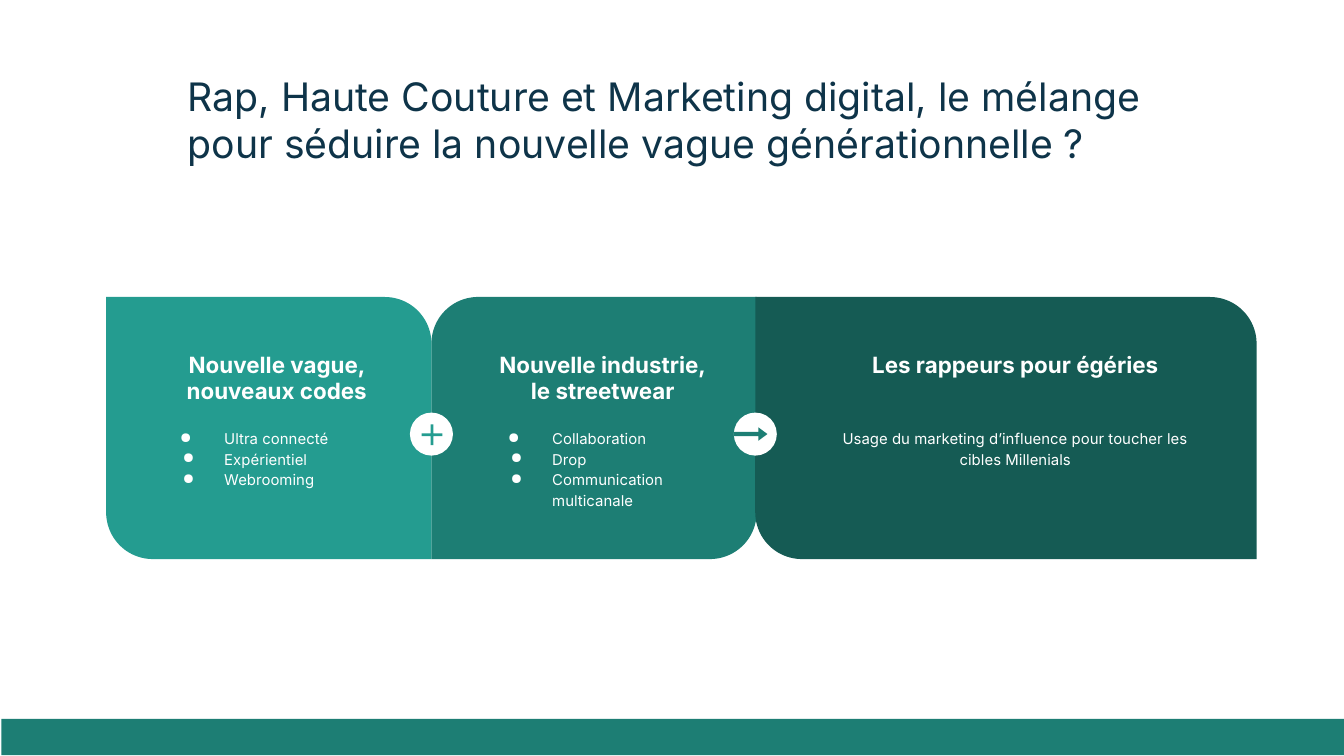
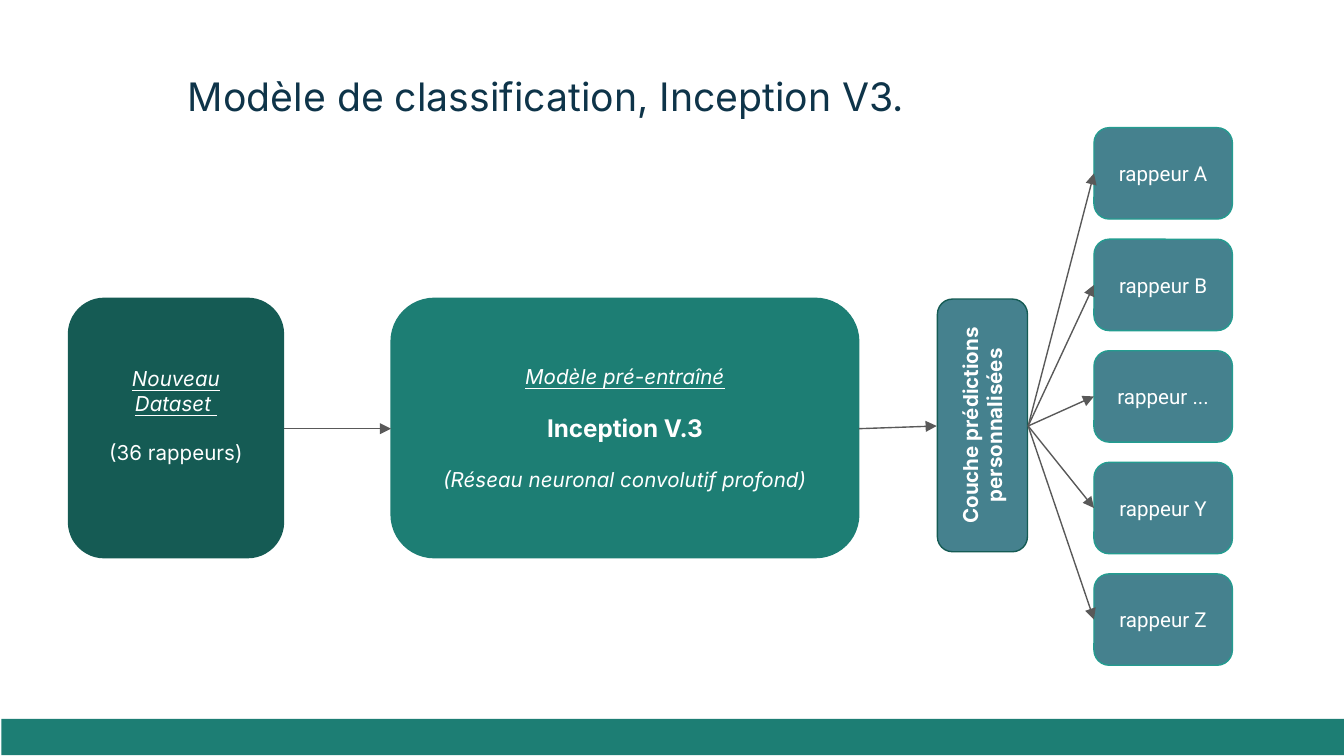
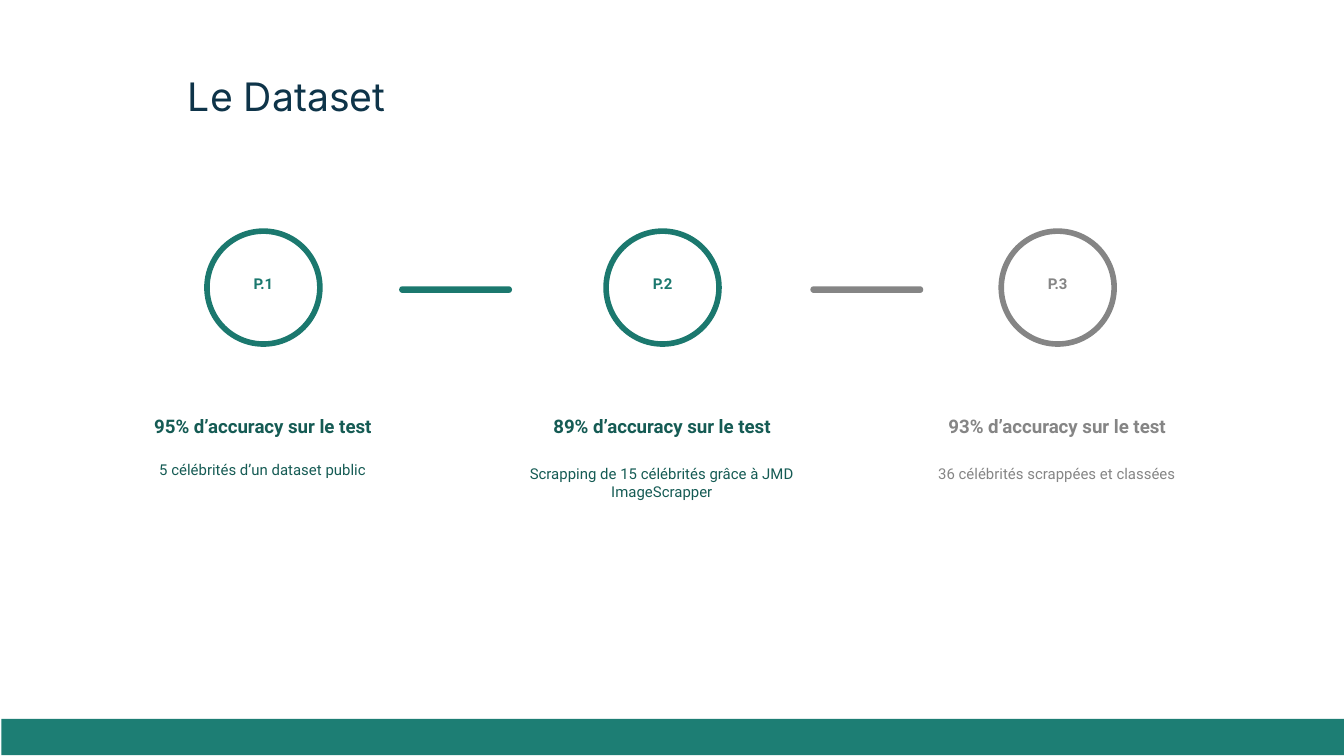
import pptx
import pptx.util
import pptx.dml.color
import pptx.enum.shapes
import pptx.enum.text
import pptx.oxml.ns
from lxml import etree

Inches = pptx.util.Inches
Pt = pptx.util.Pt
KIND = pptx.enum.shapes.MSO_SHAPE
ALIGN = pptx.enum.text.PP_ALIGN
ANCHOR = pptx.enum.text.MSO_ANCHOR
qn = pptx.oxml.ns.qn
RGB = pptx.dml.color.RGBColor.from_string

HUES = {
    "ink": "0E3449", "white": "FFFFFF", "light": "249C90", "teal": "1D7E74",
    "dark": "155B54", "ring": "1B786E", "blue": "45818E", "gray": "858585",
    "wire": "595959",
}


def put(slide, kind, box, fill=None, line=None, width=0.75, adj=()):
    """Add a preset shape, or a text box when kind is None."""
    spot = [Inches(n) for n in box]
    if kind is None:
        return slide.shapes.add_textbox(*spot)
    shape = slide.shapes.add_shape(kind, *spot)
    shape.shadow.inherit = False
    for i, part in enumerate(adj):
        shape.adjustments[i] = part
    if fill:
        shape.fill.solid()
        shape.fill.fore_color.rgb = RGB(HUES[fill])
    else:
        shape.fill.background()
    if line:
        shape.line.color.rgb = RGB(HUES[line])
        shape.line.width = Pt(width)
    else:
        shape.line.fill.background()
    return shape


def write(shape, text, size, hue="white", font="Inter", bold=False,
          align=ALIGN.CENTER, anchor=ANCHOR.TOP, gap=None):
    """Fill a shape with text in one style and return its paragraphs."""
    frame = shape.text_frame
    frame.text = text
    frame.word_wrap = True
    frame.vertical_anchor = anchor
    frame.margin_left = frame.margin_right = Inches(0.1)
    frame.margin_top = frame.margin_bottom = Inches(0.1)
    for para in frame.paragraphs:
        para.alignment = align
        if gap:
            para.line_spacing = gap
        for run in para.runs:
            run.font.size = Pt(size)
            run.font.name = font
            run.font.bold = bold
            run.font.color.rgb = RGB(HUES[hue])
    return frame.paragraphs


deck = pptx.Presentation()
deck.slide_width = Inches(10)
deck.slide_height = Inches(5.625)

# Title and bottom band on every slide
pages = []
for title, wide in [
    ("Rap, Haute Couture et Marketing digital, le mélange pour séduire "
     "la nouvelle vague générationnelle ?", 7.78),
    ("Modèle de classification, Inception V3.", 6.35),
    ("Le Dataset", 6.35),
]:
    page = deck.slides.add_slide(deck.slide_layouts[6])
    write(put(page, None, (1.3, 0.44, wide, 0.58)), title, 21, "ink",
          align=ALIGN.LEFT)
    put(page, KIND.RECTANGLE, (0.01, 5.35, 9.99, 0.27), "teal")
    pages.append(page)
trend, model, data = pages

# Slide 1: three cards, each with left, width, fill, corners, text places
cards = [
    (3.21, 2.42, "teal", (0.178, 0), (3.51, 1.95), (1.81, 0.64),
     "Nouvelle industrie,\vle streetwear",
     "Collaboration\nDrop\nCommunication multicanale"),
    (0.79, 2.42, "light", (0, 0.178), (1.07, 1.98), (1.81, 1.45),
     "Nouvelle vague, nouveaux codes",
     "Ultra connecté\nExpérientiel\nWebrooming"),
    (5.62, 3.73, "dark", (0, 0.178), (6.05, 3.01), (3.01, 0.64),
     "Les rappeurs pour égéries",
     "Usage du marketing d’influence pour toucher les cibles Millenials"),
]
for left, wide, fill, adj, (x, head), (body, tall), name, text in cards:
    put(trend, KIND.ROUND_2_DIAG_RECTANGLE, (left, 2.21, wide, 1.95), fill,
        adj=adj)
    write(put(trend, None, (x, 2.51, head, 0.57)), name, 12, bold=True)
    list_like = "\n" in text
    paras = write(put(trend, None, (x, 3.08, body, tall)), text, 8, gap=1.15,
                  align=ALIGN.LEFT if list_like else ALIGN.CENTER)
    if not list_like:
        continue
    for i, para in enumerate(paras):
        props = para._p.get_or_add_pPr()
        props.set("marL", str(Inches(0.5)))
        props.set("indent", str(Inches(-0.31 if i else -0.33)))
        tint = etree.SubElement(props, qn("a:buClr"))
        etree.SubElement(tint, qn("a:srgbClr"), val=HUES["white"])
        etree.SubElement(props, qn("a:buChar"), char="●")

# Round signs between the cards
for x in (5.46, 3.05):
    put(trend, KIND.OVAL, (x, 3.07, 0.32, 0.32), "white")
put(trend, KIND.RIGHT_ARROW, (5.46, 3.18, 0.25, 0.1), "teal",
    adj=(0.32, 0.67))
put(trend, KIND.MATH_PLUS, (3.11, 3.13, 0.21, 0.21), "light", adj=(0.099,))

# Slide 2: source data and trained model
source = put(model, KIND.ROUNDED_RECTANGLE, (0.51, 2.22, 1.6, 1.93),
             "dark", "dark")
lines = write(source, "Nouveau\nDataset \n(36 rappeurs)", 11,
              anchor=ANCHOR.MIDDLE)
source.text_frame.margin_bottom = Inches(0.29)
lines[2].space_before = Pt(13.3)
for para in lines[:2]:
    para.runs[0].font.italic = para.runs[0].font.underline = True

core = put(model, KIND.ROUNDED_RECTANGLE, (2.91, 2.22, 3.48, 1.93),
           "teal", "teal")
lines = write(core, "Modèle pré-entraîné\nInception V.3\n"
              "(Réseau neuronal convolutif profond)", 11,
              anchor=ANCHOR.MIDDLE)
first, main, last = [para.runs[0].font for para in lines]
first.italic = first.underline = last.italic = main.bold = True
main.size = Pt(13)
for para in lines[1:]:
    para.space_before = Pt(13.3)

# Custom layer, turned upright
layer = put(model, KIND.ROUNDED_RECTANGLE, (6.37, 2.83, 1.88, 0.67),
            "blue", "dark")
layer.rotation = 270
write(layer, "Couche prédictions personnalisées", 11, bold=True,
      anchor=ANCHOR.MIDDLE)

# Class boxes and the arrows of the flow
links = [
    (source, 3, core, 1, (2.11, 3.19, 2.91, 3.19)),
    (core, 3, layer, 0, (6.39, 3.19, 6.97, 3.17)),
]
for i, mark in enumerate(["A", "B", "...", "Y", "Z"]):
    top = 0.95 + 0.83 * i
    label = put(model, KIND.ROUNDED_RECTANGLE, (8.14, top, 1.03, 0.68),
                "blue", "light")
    write(label, "rappeur " + mark, 11, font="Roboto", anchor=ANCHOR.MIDDLE)
    links.append((layer, 2, label, 1, (7.65, 3.17, 8.14, top + 0.34)))

for start, out, end, into, ends in links:
    x1, y1, x2, y2 = [Inches(n) for n in ends]
    link = model.shapes.add_connector(
        pptx.enum.shapes.MSO_CONNECTOR.STRAIGHT, x1, y1, x2, y2)
    link.begin_connect(start, out)
    link.end_connect(end, into)
    # Connecting ignores the turn of the layer, so set the ends again
    link.begin_x, link.begin_y, link.end_x, link.end_y = x1, y1, x2, y2
    link.line.color.rgb = RGB(HUES["wire"])
    link.line.width = Pt(0.75)
    etree.SubElement(link.line._get_or_add_ln(), qn("a:tailEnd"),
                     type="triangle")
    etree.SubElement(link._element.spPr, qn("a:effectLst"))

# Slide 3: three phases, each with ring, score and caption
steps = [
    (1.54, "ring", "dark", "95%", (0.72, 2.47), None,
     "5 célébrités d’un dataset public"),
    (4.51, "ring", "dark", "89%", (3.72, 2.41), None,
     "Scrapping de 15 célébrités grâce à JMD ImageScrapper"),
    (7.45, "gray", "gray", "93%", (6.66, 2.41), 1.15,
     "36 célébrités scrappées et classées"),
]
for i, (x, ring, hue, score, (left, wide), gap, text) in enumerate(steps, 1):
    put(data, KIND.OVAL, (x, 1.72, 0.84, 0.84), line=ring, width=3)
    write(put(data, None, (x + 0.11, 1.95, 0.62, 0.45)), f"P.{i}", 8, ring,
          "Roboto", True, gap=1.15)
    write(put(data, None, (x - 0.79, 2.72, 2.41, 0.63)),
          score + " d’accuracy sur le test", 10, hue, "Roboto", True,
          anchor=ANCHOR.BOTTOM, gap=1.15)
    write(put(data, None, (left, 3.36, wide, 1.04)), text, 8, hue, "Roboto",
          gap=gap)

# Bars between the phases
for x, fill in [(2.97, "ring"), (6.03, "gray")]:
    put(data, KIND.ROUNDED_RECTANGLE, (x, 2.13, 0.84, 0.05), fill, adj=(0.5,))

deck.save("out.pptx")
